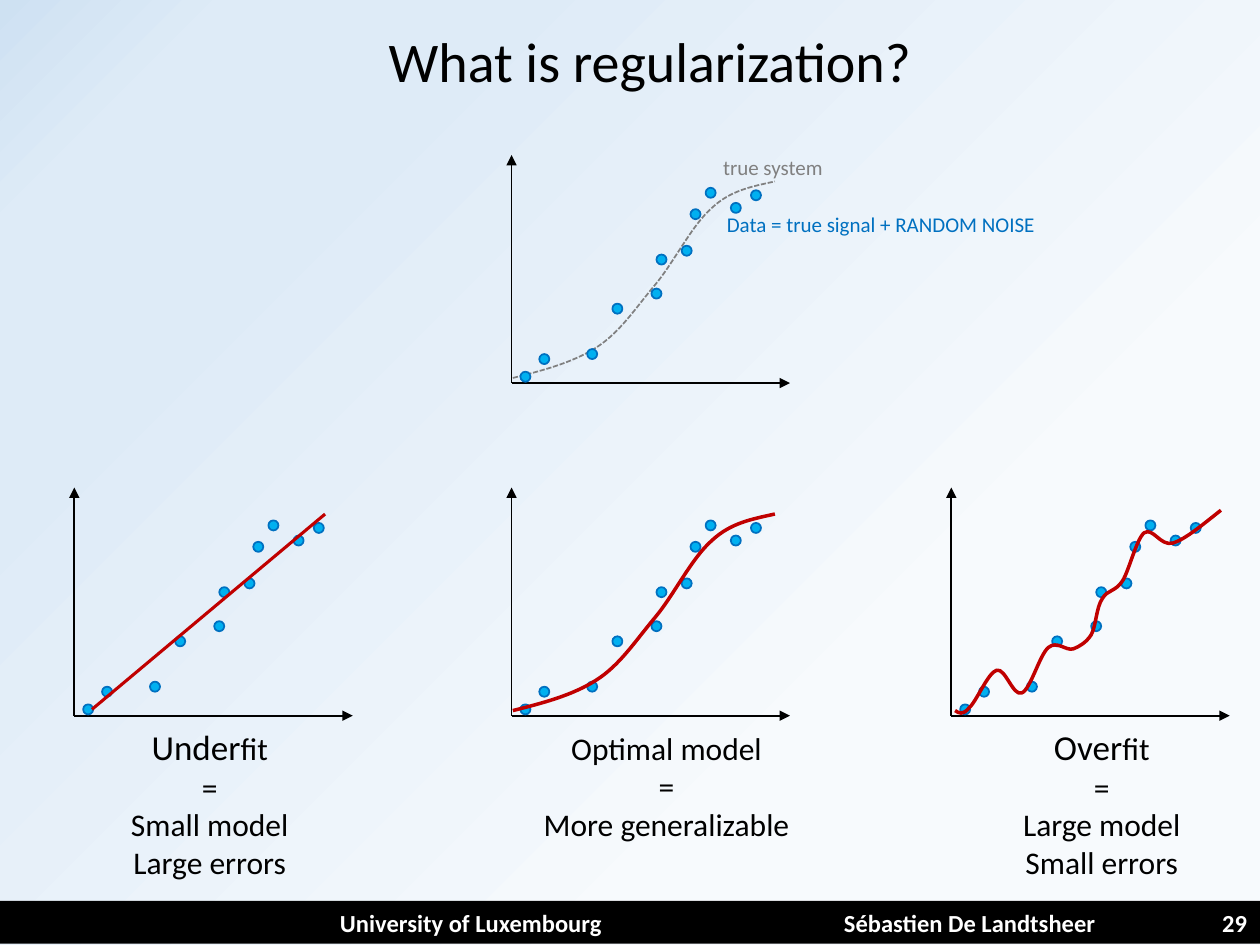
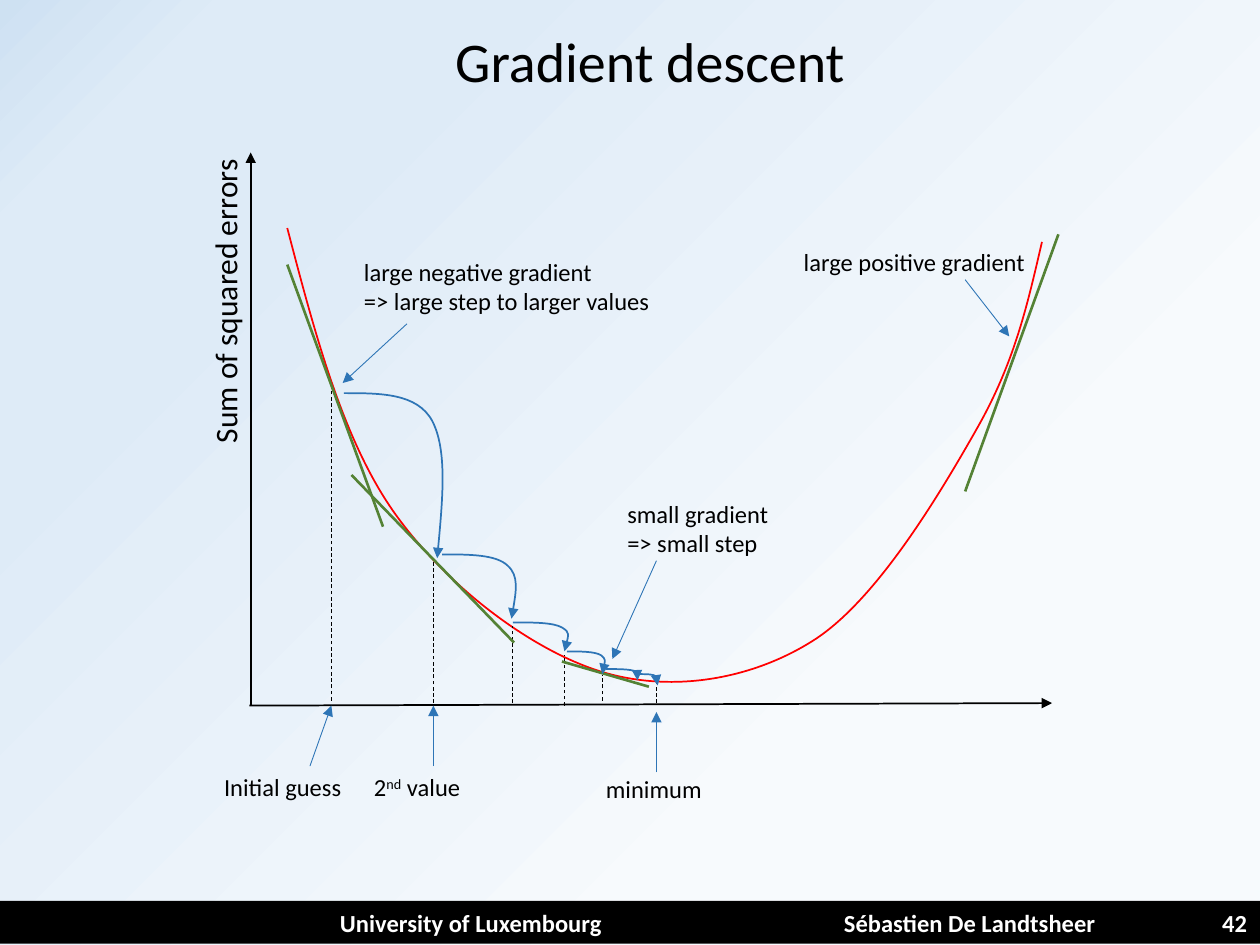
from lxml.etree import SubElement
from pptx import Presentation
from pptx.dml.color import RGBColor
from pptx.enum.dml import MSO_LINE
from pptx.enum.shapes import MSO_CONNECTOR, MSO_SHAPE
from pptx.enum.text import MSO_ANCHOR, PP_ALIGN
from pptx.oxml import parse_xml
from pptx.oxml.ns import nsdecls, qn
from pptx.util import Pt

PX = 9144  # 100 px to the inch
FONT = "Calibri"
BLACK = RGBColor(0x00, 0x00, 0x00)
WHITE = RGBColor(0xFF, 0xFF, 0xFF)
GREY = RGBColor(0x80, 0x80, 0x80)
DOT_FILL = RGBColor(0x00, 0xB0, 0xF0)
DATA_BLUE = RGBColor(0x00, 0x70, 0xC0)
MODEL_RED = RGBColor(0xC0, 0x00, 0x00)
ERROR_RED = RGBColor(0xFF, 0x00, 0x00)
STEP_BLUE = RGBColor(0x2E, 0x75, 0xB6)
TANGENT_GREEN = RGBColor(0x54, 0x82, 0x35)


def add_text(page, place, paragraphs, size, color=BLACK, align=PP_ALIGN.LEFT, wrap=True):
    """Add a text box; each paragraph is a list of run texts."""
    box = page.shapes.add_textbox(*(PX * length for length in place))
    frame = box.text_frame
    frame.word_wrap = wrap
    for index, texts in enumerate(paragraphs):
        para = frame.add_paragraph() if index else frame.paragraphs[0]
        para.alignment = align
        for text in texts:
            span = para.add_run()
            span.text = text
            span.font.name = FONT
            span.font.size = Pt(size)
            span.font.color.rgb = color
    return box


def add_stroke(page, points, color, width, dash=None, arrow=False):
    """Draw a straight line through two points, or a Bezier curve through 3n + 1."""
    if len(points) == 2:
        (x1, y1), (x2, y2) = points
        stroke = page.shapes.add_connector(
            MSO_CONNECTOR.STRAIGHT, PX * x1, PX * y1, PX * x2, PX * y2)
    else:
        builder = page.shapes.build_freeform(*points[0], scale=PX)
        builder.add_line_segments(points[1:], close=False)
        stroke = builder.convert_to_shape()
        stroke.fill.background()
        outline = stroke.element.find(".//" + qn("a:path"))
        segments = outline.findall(qn("a:lnTo"))
        for start in range(0, len(segments), 3):
            cubic = SubElement(outline, qn("a:cubicBezTo"))
            for segment in segments[start:start + 3]:
                cubic.append(segment[0])
                outline.remove(segment)
    stroke.line.color.rgb = color
    stroke.line.width = Pt(width)
    if dash:
        stroke.line.dash_style = dash
    if arrow:
        line = stroke.element.spPr.find(qn("a:ln"))
        SubElement(line, qn("a:tailEnd"), type="triangle")
    SubElement(stroke.element.spPr, qn("a:effectLst"))


deck = Presentation()
deck.slide_width = 1000 * PX
deck.slide_height = 750 * PX

# Background shared through the master
master = deck.slide_master
master.background.fill.solid()
stops = [(29, "F7FAFD", 100), (78, "DEEBF7", 70), (89, "DEEBF7", 100), (100, "CEE1F2", 48)]
stop_xml = "".join(
    f'<a:gs pos="{position * 1000}"><a:srgbClr val="{color}">'
    f'<a:alpha val="{alpha * 1000}"/></a:srgbClr></a:gs>'
    for position, color, alpha in stops)
gradient = parse_xml(
    f'<a:gradFill {nsdecls("a")} rotWithShape="1"><a:gsLst>{stop_xml}</a:gsLst>'
    '<a:path path="circle"><a:fillToRect l="100000" t="100000"/></a:path></a:gradFill>')
background = master.element.find(".//" + qn("p:bgPr"))
background.replace(background[0], gradient)

# Footer band and title of each page
pages = []
for title, number in [("What is regularization?", 29), ("Gradient descent", 42)]:
    page = deck.slides.add_slide(deck.slide_layouts[6])
    pages.append(page)
    band = page.shapes.add_shape(MSO_SHAPE.RECTANGLE, 0, 715 * PX, 1000 * PX, 34 * PX)
    band.shadow.inherit = False
    band.fill.solid()
    band.fill.fore_color.rgb = BLACK
    band.line.fill.background()
    frame = band.text_frame
    frame.margin_right = 0
    frame.vertical_anchor = MSO_ANCHOR.MIDDLE
    para = frame.paragraphs[0]
    para.alignment = PP_ALIGN.LEFT
    tabs = SubElement(para._p.get_or_add_pPr(), qn("a:tabLst"))
    for position, side in [(260, "l"), (660, "l"), (980, "r")]:
        SubElement(tabs, qn("a:tab"), pos=str(position * PX), algn=side)
    span = para.add_run()
    span.text = f"\tUniversity of Luxembourg\tSébastien De Landtsheer\t{number}"
    span.font.name = FONT
    span.font.size = Pt(14)
    span.font.bold = True
    span.font.color.rgb = WHITE

    heading = add_text(page, (42, 16, 948, 64), [[title]], 32, align=PP_ALIGN.CENTER)
    properties = heading.text_frame.paragraphs[0].runs[0].font._element
    properties.find(qn("a:solidFill")).addnext(parse_xml(
        f'<a:effectLst {nsdecls("a")}><a:outerShdw blurRad="38100" dist="38100" dir="2700000">'
        '<a:srgbClr val="000000"><a:alpha val="43000"/></a:srgbClr></a:outerShdw></a:effectLst>'))

regularization, descent = pages

# Slide 1: plots, with points measured from each plot's origin
DOT_SIZE = 8
data_dots = [
    (22, -23), (80, -63), (135, -109), (154, -155), (190, -153), (174, -143),
    (111, -75), (60, -27), (7, -9), (142, -138), (115, -102)]
straight = [(14, -5), (199, -160)]
sigmoid = [
    (1, -4), (25, -10), (48, -16), (67, -28), (86, -40), (98, -59), (114, -78),
    (129, -96), (143, -125), (159, -139), (174, -153), (191, -156), (209, -160)]
wiggle = [
    (3, -4), (6, -2), (9, 0), (14, -6), (20, -11), (29, -34), (36, -36),
    (43, -38), (49, -15), (56, -18), (63, -21), (70, -48), (77, -54),
    (84, -60), (91, -51), (97, -53), (102, -55), (107, -58), (111, -64),
    (115, -71), (115, -86), (120, -93), (124, -100), (130, -98), (136, -107),
    (141, -115), (147, -140), (153, -145), (160, -150), (166, -134), (176, -137),
    (186, -140), (200, -152), (214, -163)]
plots = [
    (406, 304, sigmoid, GREY, 1, MSO_LINE.SQUARE_DOT),
    (59, 568, straight, MODEL_RED, 1.75, None),
    (406, 568, sigmoid, MODEL_RED, 2, None),
    (755, 568, wiggle, MODEL_RED, 2, None)]
for left, base, model, color, width, dash in plots:
    for tip in [(left + 221, base), (left, base - 181)]:
        add_stroke(regularization, [(left, base), tip], BLACK, 1, arrow=True)
    curve = [(left + x, base + y) for x, y in model]
    if dash:
        add_stroke(regularization, curve, color, width, dash)
    for x, y in data_dots:
        dot = regularization.shapes.add_shape(
            MSO_SHAPE.OVAL, PX * (left + x), PX * (base + y), PX * DOT_SIZE, PX * DOT_SIZE)
        dot.shadow.inherit = False
        dot.fill.solid()
        dot.fill.fore_color.rgb = DOT_FILL
        dot.line.color.rgb = DATA_BLUE
        dot.line.width = Pt(1)
    if not dash:
        add_stroke(regularization, curve, color, width)

add_text(regularization, (564, 118, 103, 30), [["true system"]], 12, GREY, wrap=False)
add_text(regularization, (567, 163, 268, 30), [["Data = true signal + RANDOM NOISE"]],
         12, DATA_BLUE, wrap=False)

captions = [
    ((93, 571, 147, 135), [["Under", "fit"], ["="], ["Small model"], ["Large errors"]]),
    ((420, 574, 218, 101), [["Optimal model"], ["="], ["More generalizable"]]),
    ((801, 571, 147, 135), [["Over", "fit"], ["="], ["Large model"], ["Small errors"]])]
for place, lines in captions:
    caption = add_text(regularization, place, lines, 18, align=PP_ALIGN.CENTER, wrap=False)
    first_runs = caption.text_frame.paragraphs[0].runs
    if len(first_runs) > 1:
        first_runs[0].font.size = Pt(20)

# Slide 2: axes and error curve
for axis in [[(199, 560), (199, 121)], [(198, 560), (835, 558)]]:
    add_stroke(descent, axis, BLACK, 1, arrow=True)
axis_label = add_text(descent, (45, 208, 267, 40), [["Sum of squared errors"]], 18)
axis_label.rotation = 270
error_curve = [
    (228, 181), (250, 265), (272, 349), (313, 407), (355, 466), (422, 516), (477, 533),
    (532, 550), (596, 540), (646, 508), (696, 476), (746, 392), (776, 339),
    (806, 286), (816, 239), (827, 192)]
add_stroke(descent, error_curve, ERROR_RED, 1)

drops = [(263, 556, 306), (344, 558, 445), (407, 558, 497),
         (448, 560, 520), (478, 556, 536), (521, 558, 541)]
for x, bottom, top in drops:
    add_stroke(descent, [(x, bottom), (x, top)], BLACK, 0.5, MSO_LINE.DASH)

tangents = [[(304, 418), (228, 210)], [(408, 510), (279, 377)],
            [(515, 545), (446, 525)], [(766, 390), (840, 186)]]
for tangent in tangents:
    add_stroke(descent, tangent, TANGENT_GREEN, 1.5)

# Every descent step has the same curve, stretched between its ends
step_shape = [(0, 0), (0.39, 0), (0.78, 0), (0.95, 0.17), (1.11, 0.34), (1.06, 0.67), (1, 1)]
steps = [(273, 312, 347, 443), (351, 440, 406, 491), (407, 494, 448, 517),
         (450, 517, 478, 535), (481, 531, 506, 540), (508, 535, 522, 544)]
for x1, y1, x2, y2 in steps:
    step = [(round(x1 + u * (x2 - x1)), round(y1 + v * (y2 - y1))) for u, v in step_shape]
    add_stroke(descent, step, STEP_BLUE, 1, arrow=True)

notes = [
    ((168, 608, 155, 34), [["Initial guess"]], [(246, 608), (263, 560)]),
    ((287, 608, 113, 34), [["2", "nd", " value"]], [(344, 608), (344, 560)]),
    ((471, 609, 113, 34), [["minimum"]], [(521, 613), (521, 565)]),
    ((488, 391, 155, 57), [["small gradient"], ["=> small step"]], [(521, 445), (486, 523)]),
    ((628, 191, 205, 34), [["large positive gradient"]], [(766, 222), (801, 267)]),
    ((279, 199, 263, 57), [["large negative gradient"], ["=> large step to larger values"]],
     [(323, 257), (272, 304)])]
for place, lines, pointer in notes:
    note = add_text(descent, place, lines, 14)
    for span in note.text_frame.paragraphs[0].runs:
        if span.text == "nd":
            span.font._element.set("baseline", "30000")
    add_stroke(descent, pointer, STEP_BLUE, 0.5, arrow=True)

deck.save("out.pptx")
